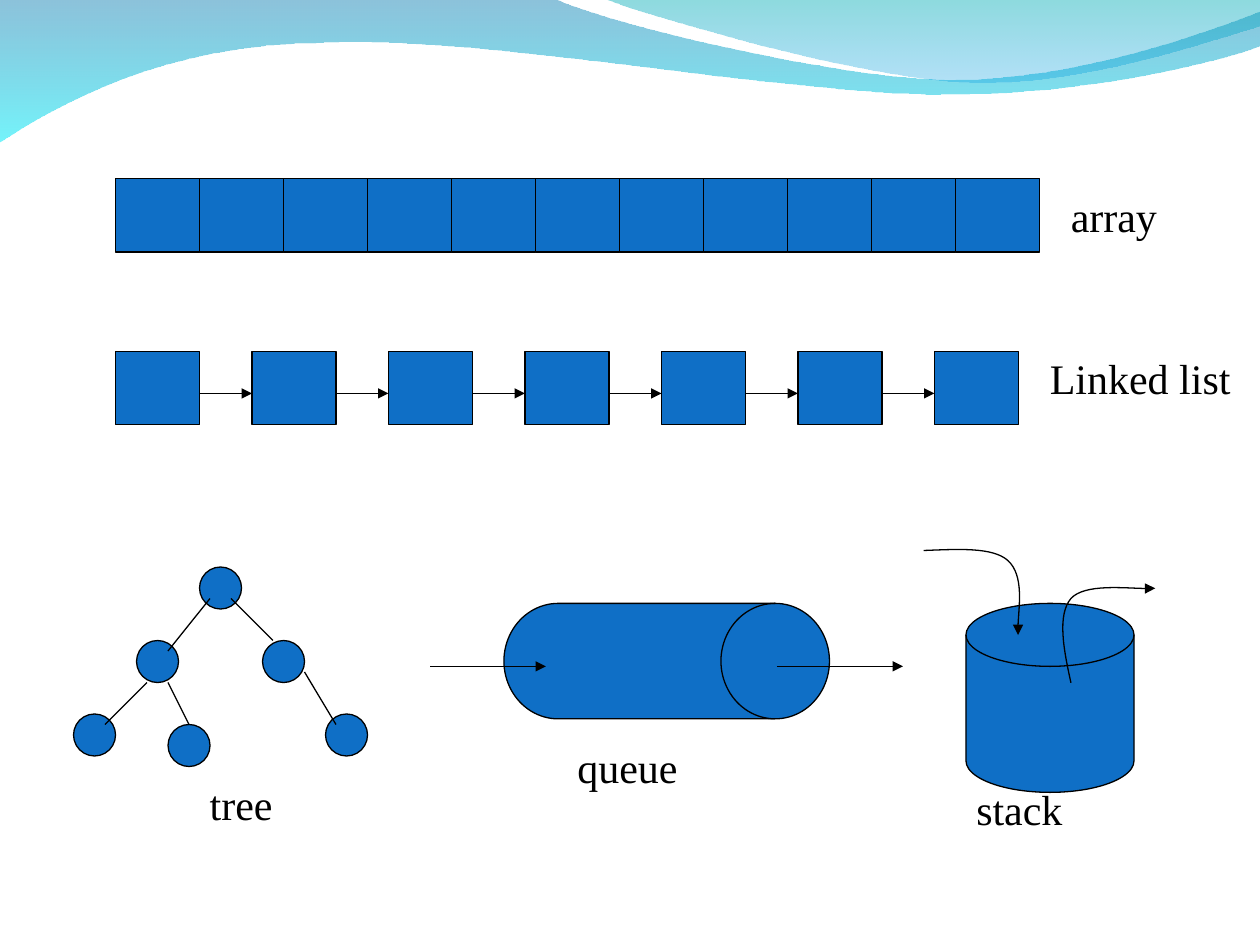
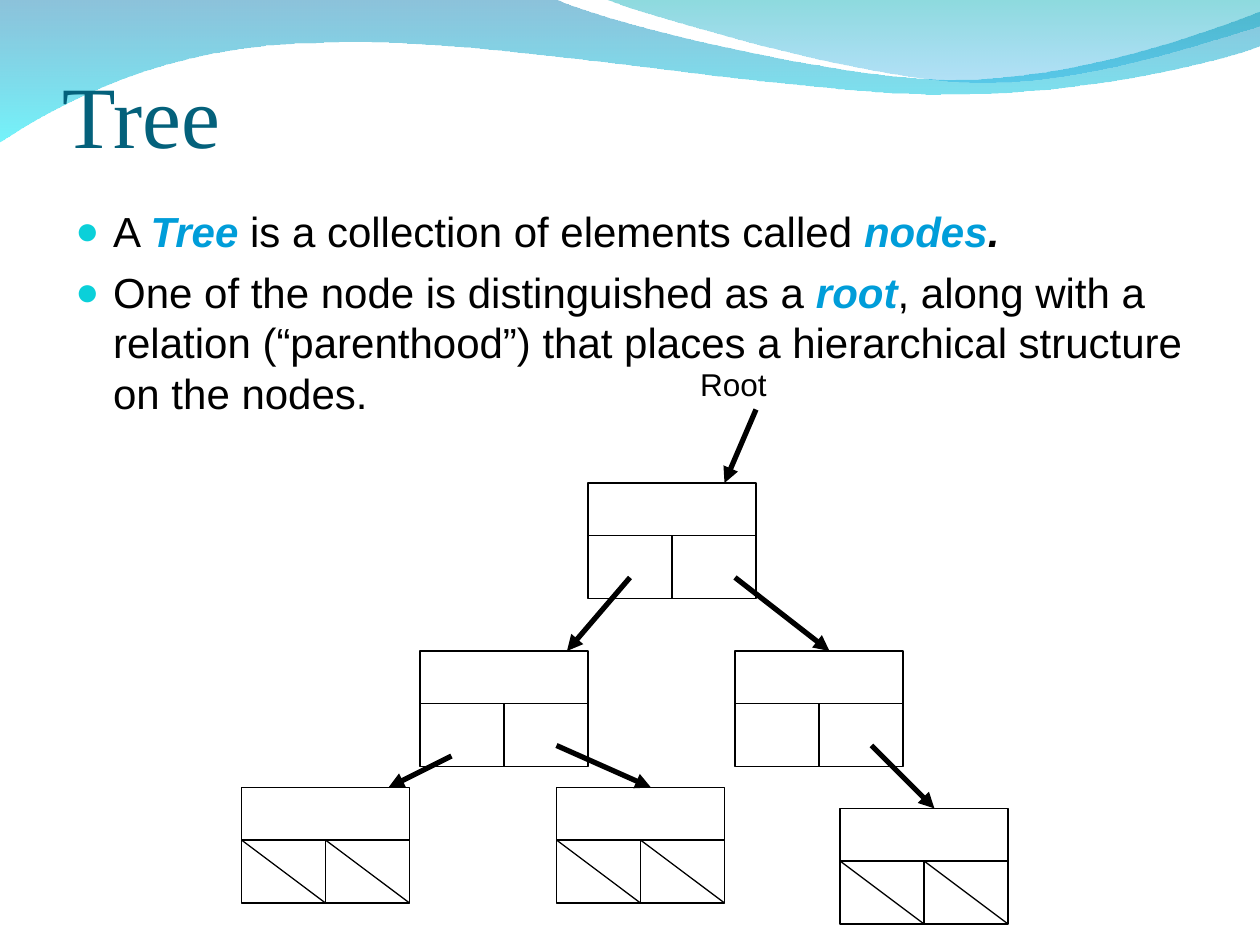
from lxml import etree
from pptx import Presentation
from pptx.dml.color import RGBColor
from pptx.enum.shapes import MSO_CONNECTOR, MSO_SHAPE
from pptx.enum.text import MSO_ANCHOR, MSO_AUTO_SIZE
from pptx.oxml.ns import qn
from pptx.util import Pt

STRAIGHT = MSO_CONNECTOR.STRAIGHT
RECTANGLE = MSO_SHAPE.RECTANGLE
OVAL = MSO_SHAPE.OVAL
DRUM = MSO_SHAPE.FLOWCHART_DIRECT_ACCESS_STORAGE
DISK = MSO_SHAPE.FLOWCHART_MAGNETIC_DISK
BOTTOM = MSO_ANCHOR.BOTTOM
FIT_SHAPE = MSO_AUTO_SIZE.SHAPE_TO_FIT_TEXT

SERIF, SANS = "Times New Roman", "Arial"
INK, NODE_BLUE, TITLE_TEAL = "000000", "0F6FC6", "04617B"
TERM_BLUE, BULLET_TEAL = "009DD9", "0BD0D9"

WAVES = [
    ((0, -0.7),
     [[(316.8, -0.7)],
      [(342.7, 12.2), (478.1, 45.4), (545.8, 45.4)],
      [(614.2, 45.4), (689.8, 18.7), (720, 6.5)],
      [(720.7, 25.9)],
      [(707.8, 31.7), (626.4, 54.7), (537.1, 54)],
      [(446.4, 54), (275, 20.2), (185, 24.5)],
      [(92.9, 25.2), (33.1, 59.8), (-0.7, 81.4)]],
     [("0079AF", 45), ("00EBF8", 55)]),
    ((344.9, -0.7),
     [[(366.5, 7.9), (491, 44.6), (553.7, 46.8)],
      [(616.3, 49.7), (691.9, 23), (720, 15.1)],
      [(720, 0)]],
     [("00ADB6", 45), ("009BE5", 30)]),
]


def color(hex_code):
    return RGBColor.from_string(hex_code)


def apply(target, values):
    for name, value in values.items():
        setattr(target, name, value)


def add_xml(parent, tag, **attributes):
    return etree.SubElement(parent, qn(tag), attributes)


def bend(outline, segments):
    steps = iter(list(outline.iter(qn("a:lnTo"))))
    for segment in segments:
        group = [next(steps) for _ in segment]
        if len(group) == 3:
            curve = add_xml(group[0].getparent(), "a:cubicBezTo")
            group[0].addprevious(curve)
            for step in group:
                curve.append(step[0])
                step.getparent().remove(step)


class Deck:
    def __init__(self):
        self.presentation = Presentation()
        apply(self.presentation, {"slide_width": Pt(720), "slide_height": Pt(540)})
        self.slide = None

    def new_slide(self):
        self.slide = self.presentation.slides.add_slide(self.presentation.slide_layouts[6])
        for start, segments, stops in WAVES:
            self.wave(start, segments, stops)

    def outline(self, element, width=0.75, arrow=False):
        element.line.color.rgb = color(INK)
        element.line.width = Pt(width)
        if arrow:
            stroke = element._element.spPr.find(qn("a:ln"))
            add_xml(stroke, "a:tailEnd", type="triangle")

    def freeform(self, start, segments, close):
        corners = [(Pt(x), Pt(y)) for segment in segments for x, y in segment]
        builder = self.slide.shapes.build_freeform(Pt(start[0]), Pt(start[1]))
        builder.add_line_segments(corners, close=close)
        figure = builder.convert_to_shape()
        figure.shadow.inherit = False
        bend(figure._element, segments)
        return figure

    def wave(self, start, segments, stops):
        band = self.freeform(start, segments, True)
        band.line.fill.background()
        band.fill.gradient()
        band.fill.gradient_angle = 270
        for position, (stop, (hex_code, _)) in enumerate(zip(band.fill.gradient_stops, stops)):
            stop.position = position
            stop.color.rgb = color(hex_code)
        tints = band._element.spPr.iter(qn("a:srgbClr"))
        for tint, (_, opacity) in zip(list(tints), stops):
            add_xml(tint, "a:alpha", val=str(opacity * 1000))

    def curved_arrow(self, start, segments):
        curve = self.freeform(start, segments, False)
        curve.fill.background()
        self.outline(curve, arrow=True)

    def shape(self, preset, left, top, width, height, fill=NODE_BLUE):
        figure = self.slide.shapes.add_shape(preset, Pt(left), Pt(top), Pt(width), Pt(height))
        figure.shadow.inherit = False
        if fill:
            figure.fill.solid()
            figure.fill.fore_color.rgb = color(fill)
        else:
            figure.fill.background()
        self.outline(figure)

    def line(self, x1, y1, x2, y2, width=0.75, arrow=False):
        link = self.slide.shapes.add_connector(STRAIGHT, Pt(x1), Pt(y1), Pt(x2), Pt(y2))
        self.outline(link, width, arrow)
        add_xml(link._element.spPr, "a:effectLst")

    def text_frame(self, left, top, width, height, **values):
        box = self.slide.shapes.add_textbox(Pt(left), Pt(top), Pt(width), Pt(height))
        apply(box.text_frame, {"word_wrap": True, **values})
        return box.text_frame

    def run(self, paragraph, text, size, font, hex_code=INK, **values):
        piece = paragraph.add_run()
        piece.text = text
        apply(piece.font, {"size": Pt(size), "name": font, **values})
        piece.font.color.rgb = color(hex_code)

    def label(self, text, left, top, width, height=36, size=24, font=SERIF):
        frame = self.text_frame(left, top, width, height, word_wrap=False, auto_size=FIT_SHAPE)
        self.run(frame.paragraphs[0], text, size, font)

    def title(self, text):
        frame = self.text_frame(36, 44.6, 648, 50.4, vertical_anchor=BOTTOM,
                                margin_left=0, margin_right=0, margin_bottom=0)
        self.run(frame.paragraphs[0], text, 50, SERIF, TITLE_TEAL)

    def bullets(self, items):
        frame = self.text_frame(36, 113.8, 648, 368.6)
        for index, pieces in enumerate(items):
            paragraph = frame.add_paragraph() if index else frame.paragraphs[0]
            paragraph.space_before = Pt(6)
            properties = paragraph._p.get_or_add_pPr()
            properties.set("marL", str(Pt(21.6)))
            properties.set("indent", str(-Pt(21.6)))
            add_xml(add_xml(properties, "a:buClr"), "a:srgbClr", val=BULLET_TEAL)
            add_xml(properties, "a:buSzPct", val="95000")
            add_xml(properties, "a:buFont", typeface=SANS)
            add_xml(properties, "a:buChar", char="●")
            for text, hex_code, strong in pieces:
                self.run(paragraph, text, 24, SANS, hex_code, bold=strong, italic=strong)

    def tree_record(self, left, top, is_leaf):
        self.shape(RECTANGLE, left, top, 96, 66, fill=None)
        divider, middle, bottom = top + 30, left + 48, top + 66
        self.line(left, divider, left + 96, divider)
        self.line(middle, divider, middle, bottom)
        if is_leaf:
            for cell in (left, middle):
                self.line(cell, divider, cell + 48, bottom)


def structures_slide(deck):
    deck.new_slide()
    for index in range(11):
        deck.shape(RECTANGLE, 66 + 48 * index, 102, 48, 42)

    for index in range(7):
        left = 66 + 78 * index
        deck.shape(RECTANGLE, left, 200.8, 48, 42)
        if index < 6:
            deck.line(left + 48, 224.8, left + 78, 224.8, arrow=True)

    for left, top in [(114, 324), (78, 366), (42, 408), (150, 366), (186, 408), (96, 414)]:
        deck.shape(OVAL, left, top, 24, 24)
    for branch in [(120, 342, 96, 372), (84, 390, 60, 414), (132, 342, 156, 366),
                   (174, 384, 192, 414), (96, 390, 108, 414)]:
        deck.line(*branch)

    deck.shape(DRUM, 288, 344.8, 186, 66)
    deck.line(246, 380.8, 312, 380.8, arrow=True)
    deck.line(444, 380.8, 516, 380.8, arrow=True)

    deck.shape(DISK, 552, 344.8, 96, 108)
    deck.curved_arrow((527.8, 314.6), [
        [(547.2, 313.9), (567.4, 312.5), (576, 320.4)],
        [(585.4, 329), (581, 355.7), (581.8, 362.9)]])
    deck.curved_arrow((612, 390.2), [
        [(607.7, 370.8), (604.1, 351.4), (612, 342)],
        [(619.9, 333.4), (652.3, 337), (660.2, 336.2)]])

    for name, left, top, width in [
            ("array", 604.8, 105.4, 66), ("Linked list", 592.8, 198, 120),
            ("tree", 112.8, 441.4, 53), ("queue", 322.8, 420.2, 74),
            ("stack", 550.8, 444.2, 66)]:
        deck.label(name, left, top, width)


def tree_slide(deck):
    deck.new_slide()
    deck.title("Tree")
    deck.bullets([
        [("A ", INK, False), ("Tree ", TERM_BLUE, True),
         ("is a collection of elements called ", INK, False),
         ("nodes", TERM_BLUE, True), (".", INK, True)],
        [("One of the node is distinguished as a ", INK, False),
         ("root", TERM_BLUE, True),
         (", along with a relation (“parenthood”) that places a hierarchical "
          "structure on the nodes.", INK, False)],
    ])
    for left, top, is_leaf in [(336, 276, False), (420, 372, False), (240, 372, False),
                               (318, 450, True), (138, 450, True), (480, 462, True)]:
        deck.tree_record(left, top, is_leaf)
    for pointer in [(432, 234, 414, 276), (360, 330, 324, 372), (420, 330, 474, 372),
                    (258, 432, 222, 450), (318, 426, 372, 450), (498, 426, 534, 462)]:
        deck.line(*pointer, width=3, arrow=True)
    deck.label("Root", 393, 205.2, 54, 28.8, 18, SANS)


def main():
    deck = Deck()
    structures_slide(deck)
    tree_slide(deck)
    deck.presentation.save("out.pptx")


if __name__ == "__main__":
    main()
